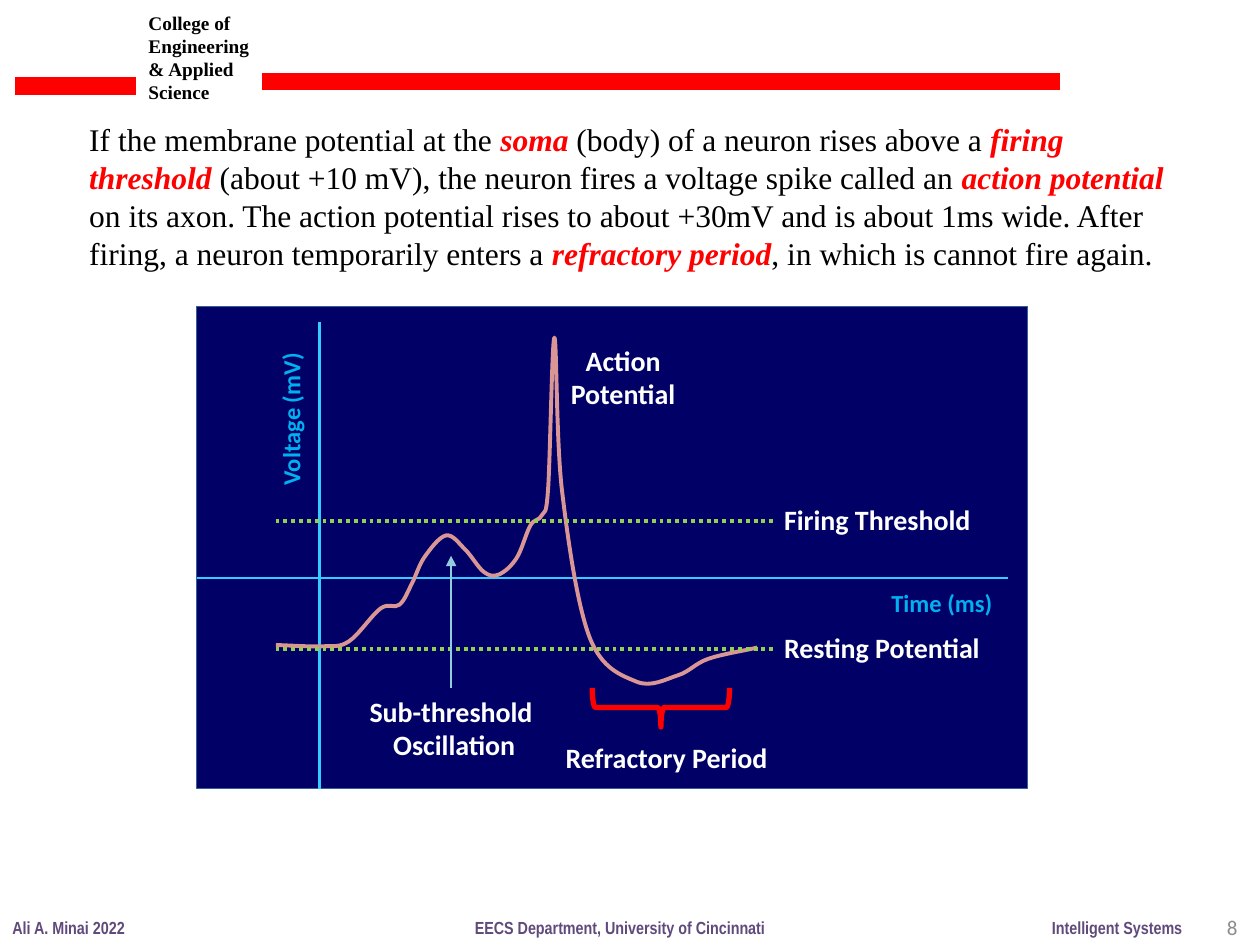
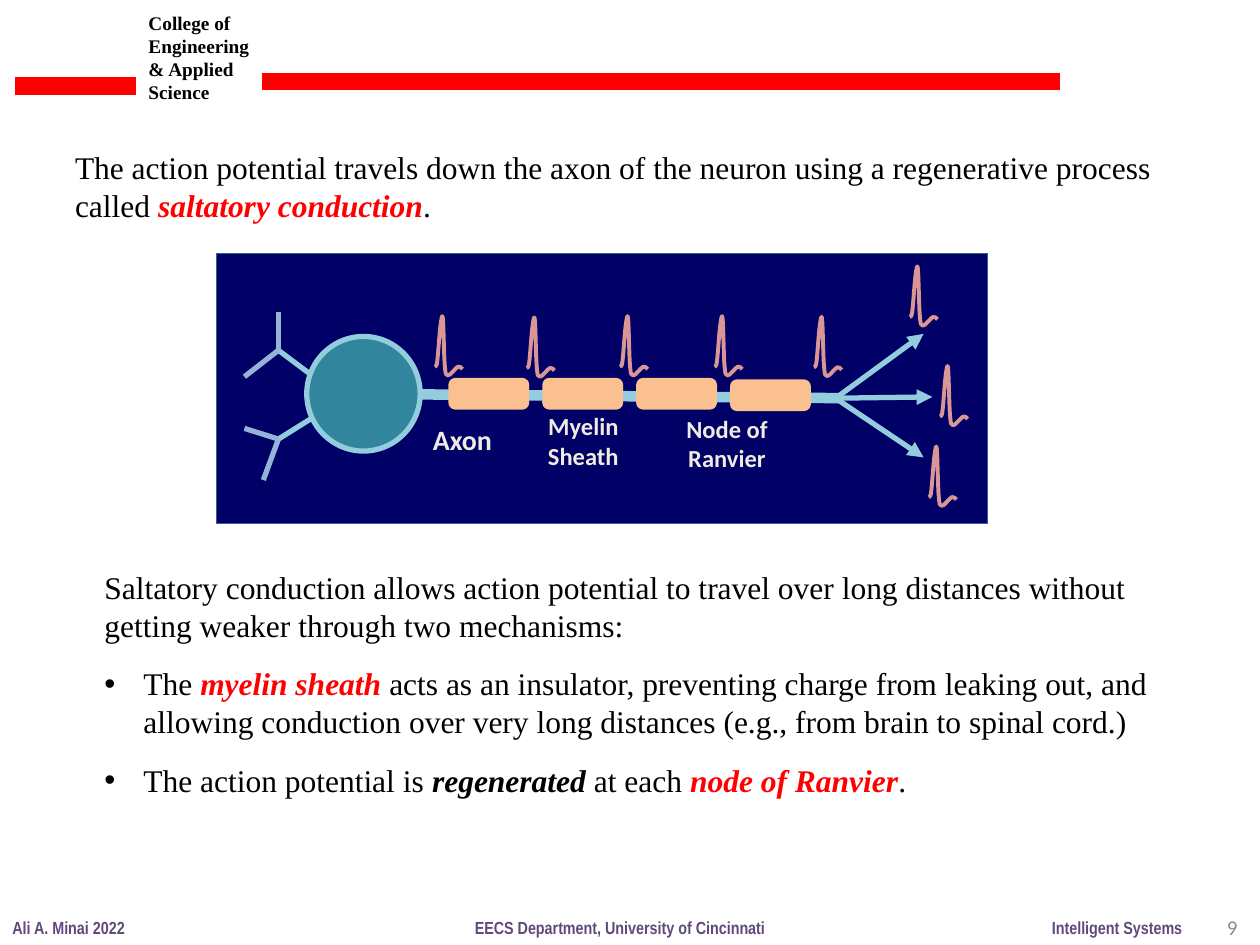
from dataclasses import dataclass

from lxml import etree
from pptx import Presentation
from pptx.dml.color import RGBColor
from pptx.enum.dml import MSO_LINE
from pptx.enum.shapes import MSO_CONNECTOR, MSO_SHAPE
from pptx.enum.text import MSO_ANCHOR, PP_ALIGN
from pptx.oxml.ns import qn
from pptx.util import Inches, Pt

STRAIGHT = MSO_CONNECTOR.STRAIGHT
RECT, ROUNDED, OVAL = MSO_SHAPE.RECTANGLE, MSO_SHAPE.ROUNDED_RECTANGLE, MSO_SHAPE.OVAL
BRACE = MSO_SHAPE.RIGHT_BRACE
LEFT, CENTER, RIGHT = PP_ALIGN.LEFT, PP_ALIGN.CENTER, PP_ALIGN.RIGHT
TOP, MIDDLE = MSO_ANCHOR.TOP, MSO_ANCHOR.MIDDLE
DOTTED = MSO_LINE.ROUND_DOT

SERIF, SANS, NARROW = "Times New Roman", "Calibri", "Arial Narrow"
COLORS = {
    "text": "000000", "red": "FF0000", "footer": "604A7B", "number": "8C8C8C",
    "panel": "000066", "panel edge": "376092", "axis": "33CCFF", "axis label": "00B0F0",
    "signal": "D99694", "level": "92D050", "white": "FFFFFF", "cream": "EEECE1",
    "soma": "31859C", "membrane": "93CDDD", "dendrite": "95B3D7", "myelin": "FAC090",
}

# The slide is a grid of 100 columns by 75 rows of square cells
COLUMNS, ROWS = 100, 75
CELL = Inches(0.1)

# Run styles in body text: colour, emphasised
PLAIN, TERM, STRESS = ("text", False), ("red", True), ("text", True)

# Knots of the curves, in cells from the top left of their region
MEMBRANE_POTENTIAL = [
    (6.3, 26.9), (10, 27), (12.1, 26.6), (14.6, 24), (16.1, 23.7), (17.1, 22),
    (18.1, 19.9), (19.8, 18.2), (21.3, 19.3), (22.8, 21.1), (24, 21.3), (25.4, 20),
    (26.5, 17.4), (27.4, 16.6), (27.9, 14.5), (28.4, 2.5), (29, 14.6), (31.2, 26.3),
    (34.9, 29.8), (38.2, 29.3), (40.6, 28), (44.5, 27.1),
]
SPIKE = [(2.2, 4.5), (1.85, 4.3), (1.05, 5), (0.8, 4.2), (0.65, 0.5), (0.45, 1.1),
         (0.2, 3.9), (0, 4.3)]


def cells(*lengths):
    return [round(length * CELL) for length in lengths]


def rgb(name):
    return RGBColor.from_string(COLORS[name])


def style_font(font, face, size, color, bold=False, italic=False):
    font.name, font.size, font.bold, font.italic = face, Pt(size), bold, italic
    font.color.rgb = rgb(color)


def style_line(line, color, width):
    line.color.rgb = rgb(color)
    line.width = Pt(width)


def smooth(outline, knots):
    """Turn the straight segments of an open outline into a Catmull-Rom curve."""
    (x0, y0), (x1, y1) = knots[:2]
    (x8, y8), (x9, y9) = knots[-2:]
    knots = [(2 * x0 - x1, 2 * y0 - y1)] + knots + [(2 * x9 - x8, 2 * y9 - y8)]
    origin = outline.left, outline.top
    segments = list(outline._element.iter(qn("a:lnTo")))
    for segment, *span in zip(segments, knots, knots[1:], knots[2:], knots[3:]):
        axes = list(zip(*span))
        controls = [[b + (c - a) / 6 for a, b, c, d in axes],
                    [c - (d - b) / 6 for a, b, c, d in axes], span[2]]
        segment.tag = qn("a:cubicBezTo")
        segment.remove(segment[0])
        for control in controls:
            x, y = (str(round(value - start)) for value, start in zip(control, origin))
            etree.SubElement(segment, qn("a:pt"), x=x, y=y)


@dataclass
class Region:
    """A box on a slide; its parts are placed in cells from its top left corner."""
    slide: object
    left: float
    top: float
    width: float
    height: float

    def place(self, x, y, w, h):
        return cells(self.left + x, self.top + y, w, h)

    def text_box(self, x, y, w, h, wrap, anchor=TOP):
        box = self.slide.shapes.add_textbox(*self.place(x, y, w, h))
        box.text_frame.word_wrap = wrap
        box.text_frame.vertical_anchor = anchor
        return box

    def label(self, text, x, y, w, h, face, size, color, bold=True, align=LEFT,
              wrap=False, anchor=TOP):
        box = self.text_box(x, y, w, h, wrap, anchor)
        box.text_frame.text = text
        for paragraph in box.text_frame.paragraphs:
            paragraph.alignment = align
            for run in paragraph.runs:
                style_font(run.font, face, size, color, bold)
        return box

    def body(self, *paragraphs):
        """Fill the region with paragraphs of (text, style) runs; all but the first are bullets."""
        frame = self.text_box(0, 0, self.width, self.height, True).text_frame
        for index, parts in enumerate(paragraphs):
            paragraph = frame.add_paragraph() if index else frame.paragraphs[0]
            if index:
                add_bullet(paragraph)
                paragraph.space_before = Pt(12)
            for text, (color, emphasis) in parts:
                run = paragraph.add_run()
                run.text = text
                style_font(run.font, SERIF, 18, color, emphasis, emphasis)

    def shape(self, kind, x, y, w, h, fill, edge, edge_width):
        shape = self.slide.shapes.add_shape(kind, *self.place(x, y, w, h))
        shape.shadow.inherit = False
        if fill:
            shape.fill.solid()
            shape.fill.fore_color.rgb = rgb(fill)
        else:
            shape.fill.background()
        style_line(shape.line, edge, edge_width)
        return shape

    def panel(self):
        self.shape(RECT, 0, 0, self.width, self.height, "panel", "panel edge", 0.5)

    def line(self, start, end, color, width, arrow=False, dash=None):
        line = self.slide.shapes.add_connector(
            STRAIGHT, *self.place(*start, 0, 0)[:2], *self.place(*end, 0, 0)[:2])
        style_line(line.line, color, width)
        if dash:
            line.line.dash_style = dash
        if arrow:
            etree.SubElement(line.line._get_or_add_ln(), qn("a:tailEnd"), type="triangle")
        etree.SubElement(line._element.spPr, qn("a:effectLst"))
        return line

    def curve(self, knots, x=0, y=0):
        points = [tuple(self.place(x + px, y + py, 0, 0)[:2]) for px, py in knots]
        builder = self.slide.shapes.build_freeform(*points[0])
        builder.add_line_segments(points[1:], close=False)
        curve = builder.convert_to_shape()
        smooth(curve, points)
        curve.shadow.inherit = False
        curve.fill.background()
        style_line(curve.line, "signal", 2.25)


def add_bullet(paragraph):
    properties = paragraph._p.get_or_add_pPr()
    indent = Inches(0.31)
    properties.set("marL", str(indent))
    properties.set("indent", str(-indent))
    etree.SubElement(properties, qn("a:buFont"), typeface="Arial")
    etree.SubElement(properties, qn("a:buChar"), char="•")


def add_header(region):
    region.label("College of Engineering & Applied\nScience", 10.8, 0.4, 10.9, 8.4,
                 SERIF, 11, "text", wrap=True)
    for start, end, y in [(1.2, 10.8, 6.82), (20.8, 84.15, 6.47)]:
        region.line((start, y), (end, y), "red", 10)


def add_footer(region, number):
    for text, x, w in [("Ali A. Minai 2022", 0, 11), ("Intelligent Systems", 82.5, 12.4),
                       ("EECS Department, University of Cincinnati", 36.7, 25.2)]:
        region.label(text, x, 0.7, w, 2.7, NARROW, 10, "footer")
    region.label(str(number), 75.9, 0, 23.3, 4, SANS, 12, "number", bold=False,
                 align=RIGHT, wrap=True, anchor=MIDDLE)


def add_slide(deck, number):
    slide = deck.slides.add_slide(deck.slide_layouts[6])
    add_header(Region(slide, 0, 0, COLUMNS, 9))
    add_footer(Region(slide, 0, 71.6, COLUMNS, 4), number)
    return slide


def draw_voltage_plot(plot):
    plot.panel()

    # Axes
    plot.line((9.77, 1.25), (9.77, plot.height), "axis", 1.5)
    plot.line((0, 21.56), (64.4, 21.56), "axis", 1.5)

    # Membrane potential and its two reference levels
    plot.curve(MEMBRANE_POTENTIAL)
    for name, y in [("Firing Threshold", 17.05), ("Resting Potential", 27.2)]:
        plot.line((6.27, y), (45.75, y), "level", 2.25, dash=DOTTED)
        plot.label(name, 45.65, y - 1.95, 17.7, 3.9, SANS, 16, "white")

    # Phases of the signal
    oscillation = plot.label("Sub-threshold\n Oscillation", 12.65, 30.3, 15.1, 6.8,
                             SANS, 16, "white", align=CENTER)
    pointer = plot.line((20.2, 30.3), (20.2, 19.8), "membrane", 1.5, arrow=True)
    pointer.begin_connect(oscillation, 0)
    plot.label("Action\nPotential", 28.65, 2.45, 10.4, 6.8, SANS, 16, "white", align=CENTER)
    plot.label("Refractory Period", 28.3, 34, 18.3, 4.2, SANS, 16, "white")
    refractory = plot.shape(BRACE, 35.3, 26.4, 3.1, 10.9, None, "red", 3)
    refractory.rotation = 90

    # Axis names
    voltage = plot.label("Voltage (mV)", 1.2, 7.2, 12.6, 3.4, SANS, 14, "axis label",
                         wrap=True)
    voltage.rotation = 270
    plot.label("Time (ms)", 54.15, 21.9, 10.1, 3.4, SANS, 14, "axis label")


def draw_neuron(neuron):
    # Soma and axon with its myelin sheath
    neuron.shape(OVAL, 7.15, 6.6, 9, 9.1, "soma", "membrane", 3)
    neuron.line((16.1, 11.2), (49.5, 11.5), "membrane", 6)
    for segment, y in enumerate((10.1, 10.1, 10.1, 10.22)):
        neuron.shape(ROUNDED, 18.6 + 7.45 * segment, y, 6, 2.1, "myelin", "myelin", 3)

    # Dendrites
    for fork, root, tips in [((4.9, 7.7), (7.3, 9.5), [(4.9, 4.7), (2.2, 9.8)]),
                             ((4.9, 14.75), (7.7, 13), [(2.2, 13.9), (3.7, 18)])]:
        neuron.line(fork, root, "membrane", 3)
        for tip in tips:
            neuron.line(fork, tip, "dendrite", 3)

    # Terminal branches
    for start_y, end in [(11.3, (56.1, 6.4)), (11.5, (56.8, 11.4)), (11.7, (56.1, 16.2))]:
        neuron.line((49.4, start_y), end, "membrane", 3, arrow=True)

    # Spikes along the axon and at the branch ends
    for x, y in [(17.3, 4.7), (24.6, 4.8), (32, 4.7), (39.5, 4.7), (47.4, 4.75),
                 (55, 0.75), (57.4, 8.65), (56.5, 15.05)]:
        neuron.curve(SPIKE, x, y)

    for name, x, y, w, h, size in [("Axon", 16.1, 12.95, 6.8, 3.7, 16),
                                   ("Myelin\nSheath", 25.25, 12.05, 7.7, 5.7, 14),
                                   ("Node of\nRanvier", 36.25, 12.25, 8.5, 5.7, 14)]:
        neuron.label(name, x, y, w, h, SANS, size, "cream", align=CENTER)


def build_action_potential(deck):
    slide = add_slide(deck, 8)
    Region(slide, 6.1, 9.05, 87.8, 13.1).body([
        ("If the membrane potential at the ", PLAIN), ("soma", TERM),
        (" (body) of a neuron rises above a ", PLAIN), ("firing threshold ", TERM),
        ("(about +10 mV), the neuron fires a voltage spike called an ", PLAIN),
        ("action potential ", TERM),
        ("on its axon. The action potential rises to about +30mV and is about 1ms wide. "
         "After firing, a neuron temporarily enters a ", PLAIN),
        ("refractory period", TERM), (", in which is cannot fire again.", PLAIN)])
    draw_voltage_plot(Region(slide, 15.6, 24.3, 65.95, 38.3))


def build_saltatory_conduction(deck):
    slide = add_slide(deck, 9)
    neuron = Region(slide, 17.2, 20.1, 61.2, 21.45)
    neuron.panel()
    Region(slide, 4.97, 11.27, 87.8, 7.1).body([
        ("The action potential travels down the axon of the neuron using a regenerative "
         "process called ", PLAIN), ("saltatory conduction", TERM), (".", PLAIN)])
    draw_neuron(neuron)
    Region(slide, 7.3, 44.57, 85.9, 19.5).body(
        [("Saltatory conduction allows action potential to travel over long distances "
          "without getting weaker through two mechanisms:", PLAIN)],
        [("The ", PLAIN), ("myelin sheath ", TERM),
         ("acts as an insulator, preventing charge from leaking out, and allowing "
          "conduction over very long distances (e.g., from brain to spinal cord.)", PLAIN)],
        [("The action potential is ", PLAIN), ("regenerated", STRESS),
         (" at each ", PLAIN), ("node of Ranvier", TERM), (".", PLAIN)])


def main():
    deck = Presentation()
    deck.slide_width, deck.slide_height = cells(COLUMNS, ROWS)
    build_action_potential(deck)
    build_saltatory_conduction(deck)
    deck.save("out.pptx")


if __name__ == "__main__":
    main()
